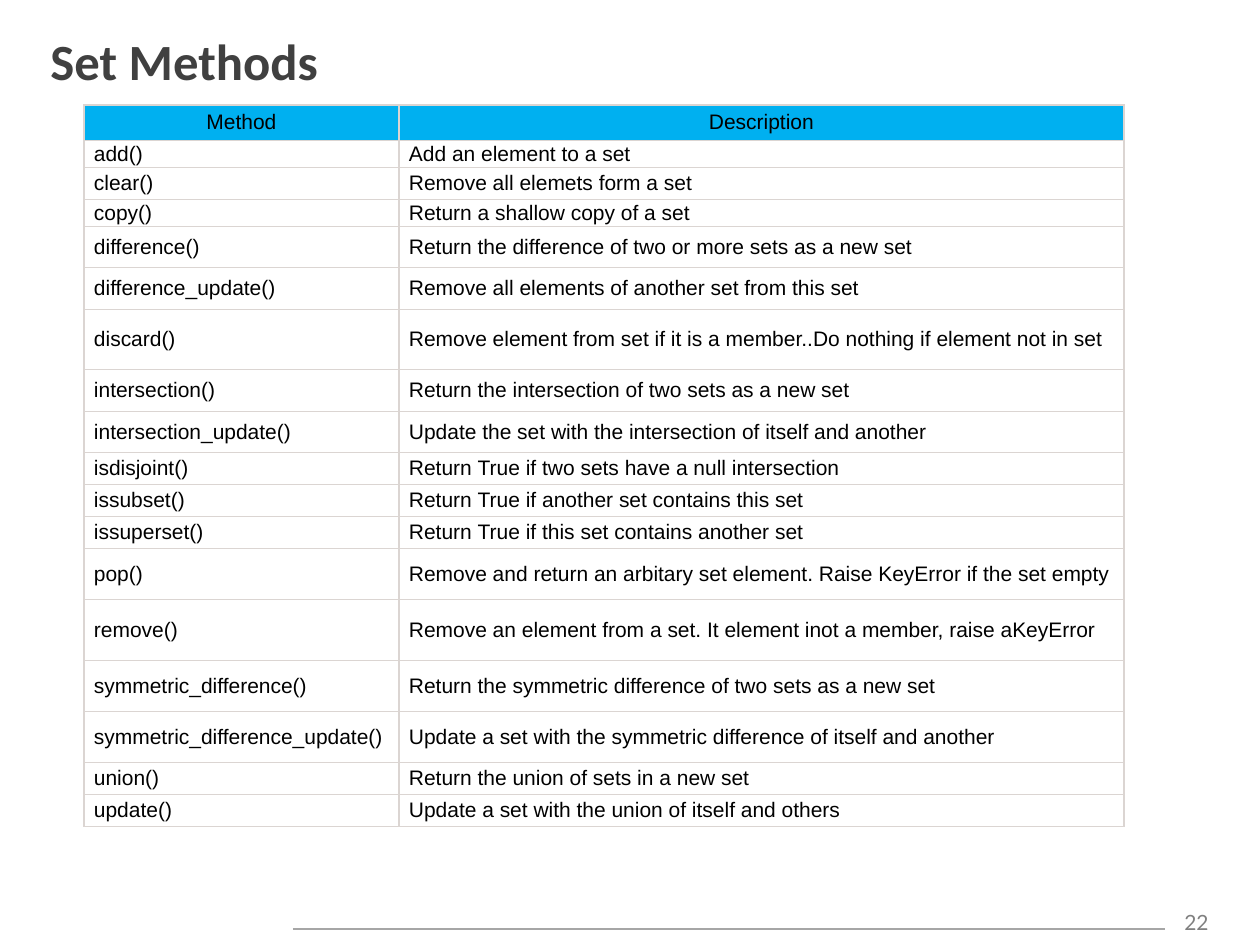
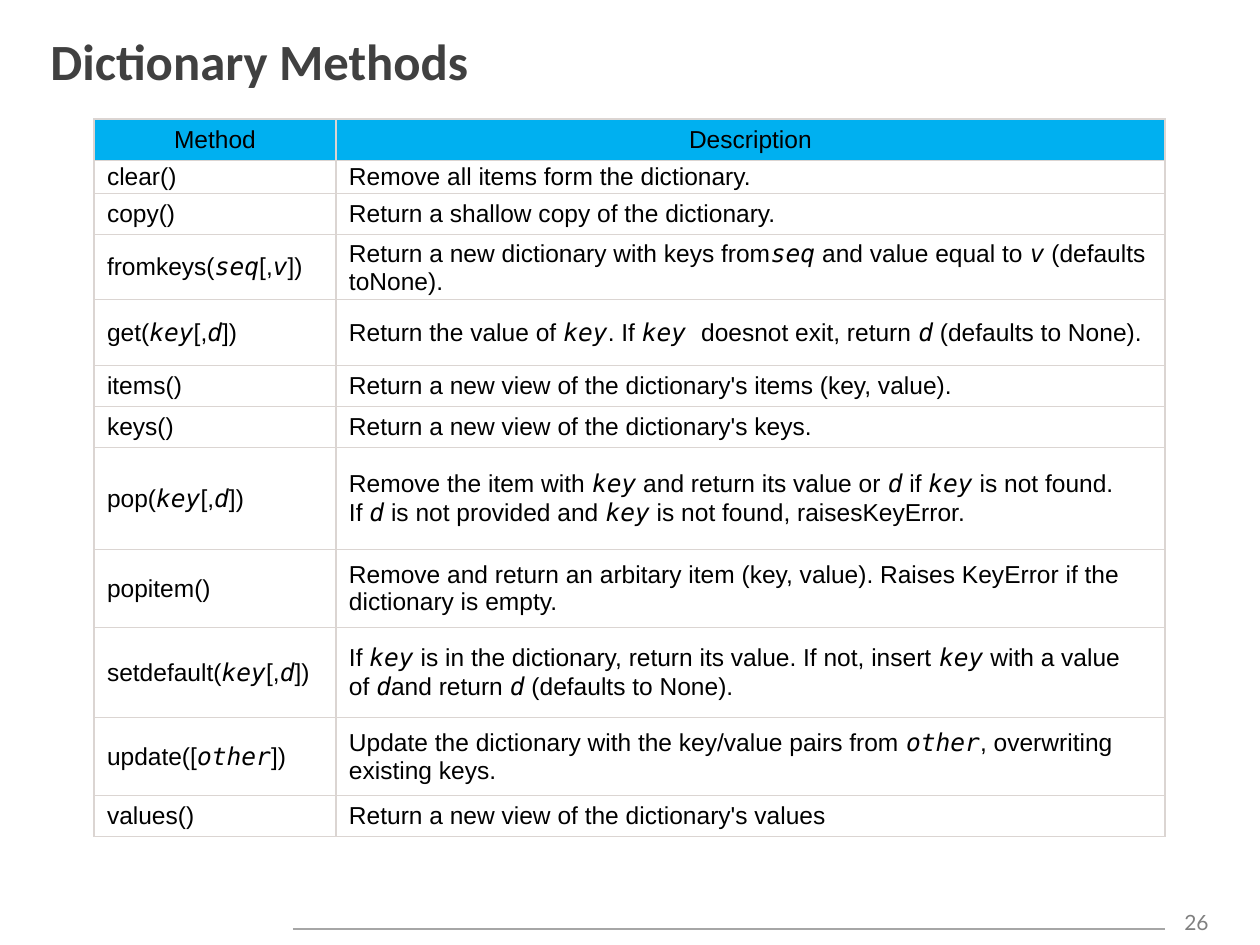
"""Build two slides that list the methods of Python sets and dictionaries."""
from lxml import etree
from pptx import Presentation
from pptx.dml.color import RGBColor
from pptx.enum.shapes import MSO_CONNECTOR
from pptx.enum.text import MSO_ANCHOR, PP_ALIGN
from pptx.oxml.ns import qn
from pptx.util import Pt

STRAIGHT = MSO_CONNECTOR.STRAIGHT
MIDDLE = MSO_ANCHOR.MIDDLE
LEFT, CENTER = PP_ALIGN.LEFT, PP_ALIGN.CENTER
BLACK = RGBColor(0x00, 0x00, 0x00)
WHITE = RGBColor(0xFF, 0xFF, 0xFF)
BLUE = RGBColor(0x00, 0xB0, 0xF0)
DARK = RGBColor(0x40, 0x40, 0x40)
GRAY = RGBColor(0x80, 0x80, 0x80)
RULE = RGBColor(0xA6, 0xA6, 0xA6)
GRID = RGBColor(0xDB, 0xD5, 0xD2)
BODY, MONO = "Arial", "DejaVu Sans Mono"
SCALE = 914400 / 126
HARD = chr(160)


def px(count):
    return round(count * SCALE)


def write(frame, text, size=12, font=BODY, color=BLACK, bold=False, align=LEFT):
    """Write text in which *stars* mark code terms and ~ a hard space."""
    frame.word_wrap = True
    para = frame.paragraphs[0]
    para.alignment = align
    for turn, part in enumerate(text.replace("~", HARD).split("*")):
        if part:
            run = para.add_run()
            run.text = part
            run.font.size = Pt(size)
            run.font.name = MONO if turn % 2 else font
            run.font.italic = turn % 2 == 1
            run.font.bold = bold
            run.font.color.rgb = color


SETS = [
    (33, "Method", "Description"),
    (27, "add()", "Add an element to a set"),
    (32, "clear()", "Remove all elemets form a set"),
    (27, "copy()", "Return a shallow copy of a set"),
    (41, "difference()", "Return the difference of two or more sets as a new set"),
    (42, "difference_update()", "Remove all elements of another set from this set"),
    (60, "discard()",
     "Remove element from set if it is a member..Do nothing if element not in set"),
    (42, "intersection()", "Return the intersection of two sets as a new set"),
    (41, "intersection_update()",
     "Update the set with the intersection of itself and another"),
    (32, "isdisjoint()", "Return~True~if two sets have a null intersection"),
    (32, "issubset()", "Return~True~if another set contains this set"),
    (32, "issuperset()", "Return~True~if this set contains another set"),
    (51, "pop()",
     "Remove and return an arbitary set element. Raise~KeyError~if the set empty"),
    (61, "remove()",
     "Remove an element from a set. It element inot a member, raise aKeyError"),
    (51, "symmetric_difference()",
     "Return the symmetric difference of two sets as a new set"),
    (51, "symmetric_difference_update()",
     "Update a set with the symmetric difference of itself and another"),
    (32, "union()", "Return the union of sets in a new set"),
    (32, "update()", "Update a set with the union of itself and others"),
]
DICTS = [
    (40, "Method", "Description"),
    (32, "clear()", "Remove all items form the dictionary."),
    (41, "copy()", "Return a shallow copy of the dictionary."),
    (65, "fromkeys(*seq*[,*v*])",
     "Return a new dictionary with keys from*seq*~and value equal to~*v*"
     "~(defaults toNone)."),
    (66, "get(*key*[,*d*])",
     "Return the value of~*key*. If~*key~*doesnot exit, return~*d*"
     "~(defaults to~None)."),
    (41, "items()", "Return a new view of the dictionary's items (key, value)."),
    (41, "keys()", "Return a new view of the dictionary's keys."),
    (102, "pop(*key*[,*d*])",
     "Remove the item with~*key*~and return its value or~*d*~if~*key*"
     "~is not found. If~*d*~is not provided and~*key*"
     "~is not found, raisesKeyError."),
    (78, "popitem()",
     "Remove and return an arbitary item (key, value). Raises~KeyError~if the "
     "dictionary is empty."),
    (90, "setdefault(*key*[,*d*])",
     "If~*key*~is in the dictionary, return its value. If not, insert~*key*"
     "~with a value of~*d*and return~*d*~(defaults to~None)."),
    (78, "update([*other*])",
     "Update the dictionary with the key/value pairs from~*other*, overwriting "
     "existing keys."),
    (41, "values()", "Return a new view of the dictionary's values"),
]
PAGES = [
    dict(title="Set Methods", page="22", left=84, top=105, wide=(315, 725),
         size=12, head=(4, 5), pad=(10, 1), rows=SETS),
    dict(title="Dictionary Methods", page="26", left=94, top=119, wide=(242, 829),
         size=14, head=(4, 6), pad=(13, 2), rows=DICTS),
]

deck = Presentation()
deck.slide_width, deck.slide_height = px(1260), px(945)

for page in PAGES:
    slide = deck.slides.add_slide(deck.slide_layouts[6])
    shapes = slide.shapes

    foot = shapes.add_textbox(px(1165), px(903), px(63), px(38))
    write(foot.text_frame, page["page"], font="Lato", color=GRAY, align=CENTER)
    line = shapes.add_connector(STRAIGHT, px(293), px(929), px(1165), px(929))
    line.line.color.rgb = RULE
    line.line.width = Pt(0.75)
    etree.SubElement(line._element.spPr, qn("a:effectLst"))

    title = shapes.add_textbox(px(38), px(21), px(1217), px(79))
    title.text_frame.vertical_anchor = MIDDLE
    write(title.text_frame, page["title"], size=29, font="Calibri", color=DARK,
          bold=True)

    rows, wide = page["rows"], page["wide"]
    tall = sum(row[0] for row in rows)
    table = shapes.add_table(len(rows), len(wide), px(page["left"]), px(page["top"]),
                             px(sum(wide)), px(tall)).table
    table.first_row = table.horz_banding = False
    for col, width in zip(table.columns, wide):
        col.width = px(width)
    for at, (height, *texts) in enumerate(rows):
        table.rows[at].height = px(height)
        side, edge = page["pad"] if at else page["head"]
        for col, text in enumerate(texts):
            cell = table.cell(at, col)
            cell.vertical_anchor = MIDDLE
            cell.margin_left = cell.margin_right = px(side)
            cell.margin_top = cell.margin_bottom = px(edge)
            props = cell._tc.get_or_add_tcPr()
            for name in ("a:lnL", "a:lnR", "a:lnT", "a:lnB"):
                rim = etree.SubElement(props, qn(name), w=str(Pt(0.75)))
                fill = etree.SubElement(rim, qn("a:solidFill"))
                etree.SubElement(fill, qn("a:srgbClr"), val=str(GRID))
            cell.fill.solid()
            cell.fill.fore_color.rgb = WHITE if at else BLUE
            write(cell.text_frame, text, size=page["size"],
                  align=LEFT if at else CENTER)

deck.save("out.pptx")
